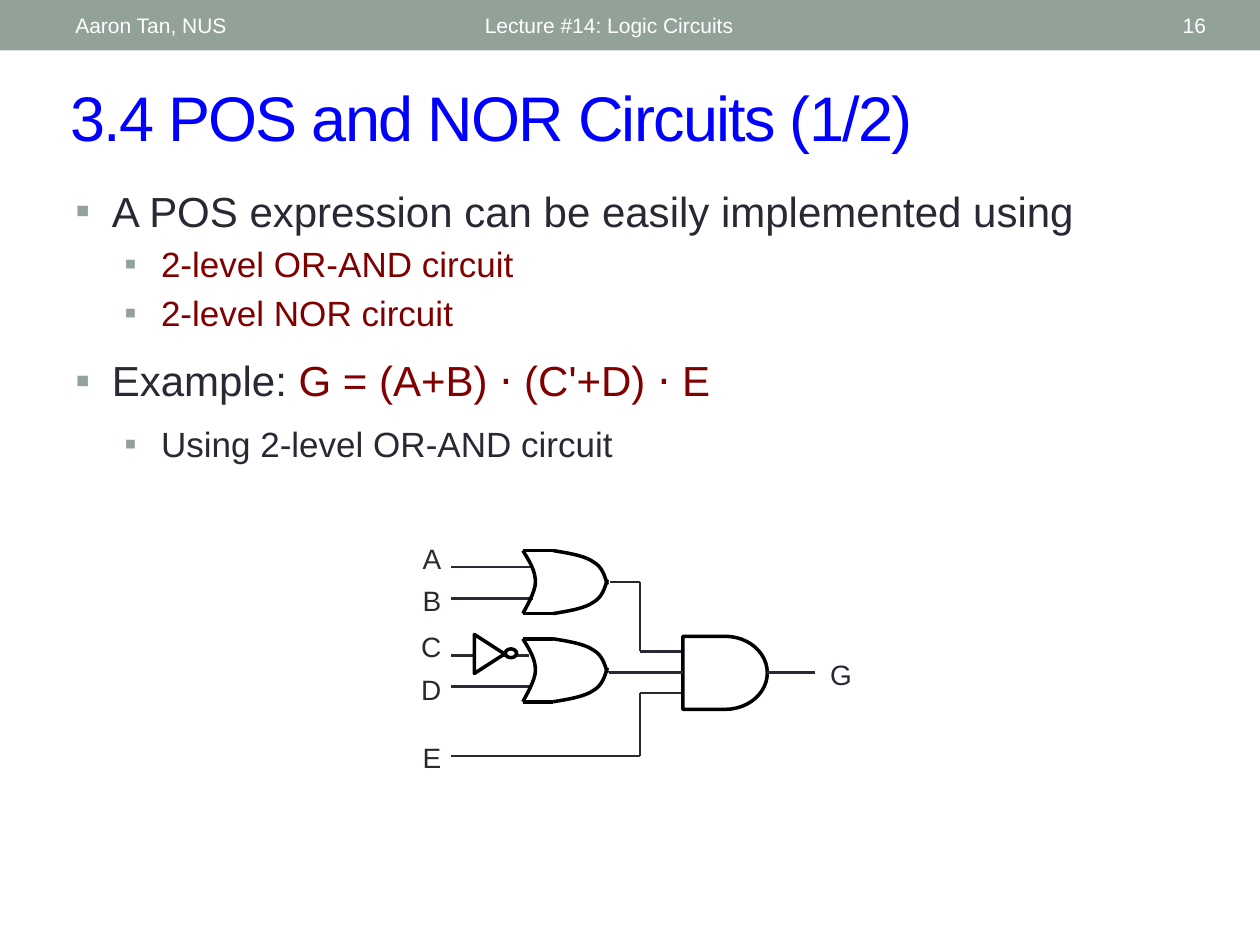
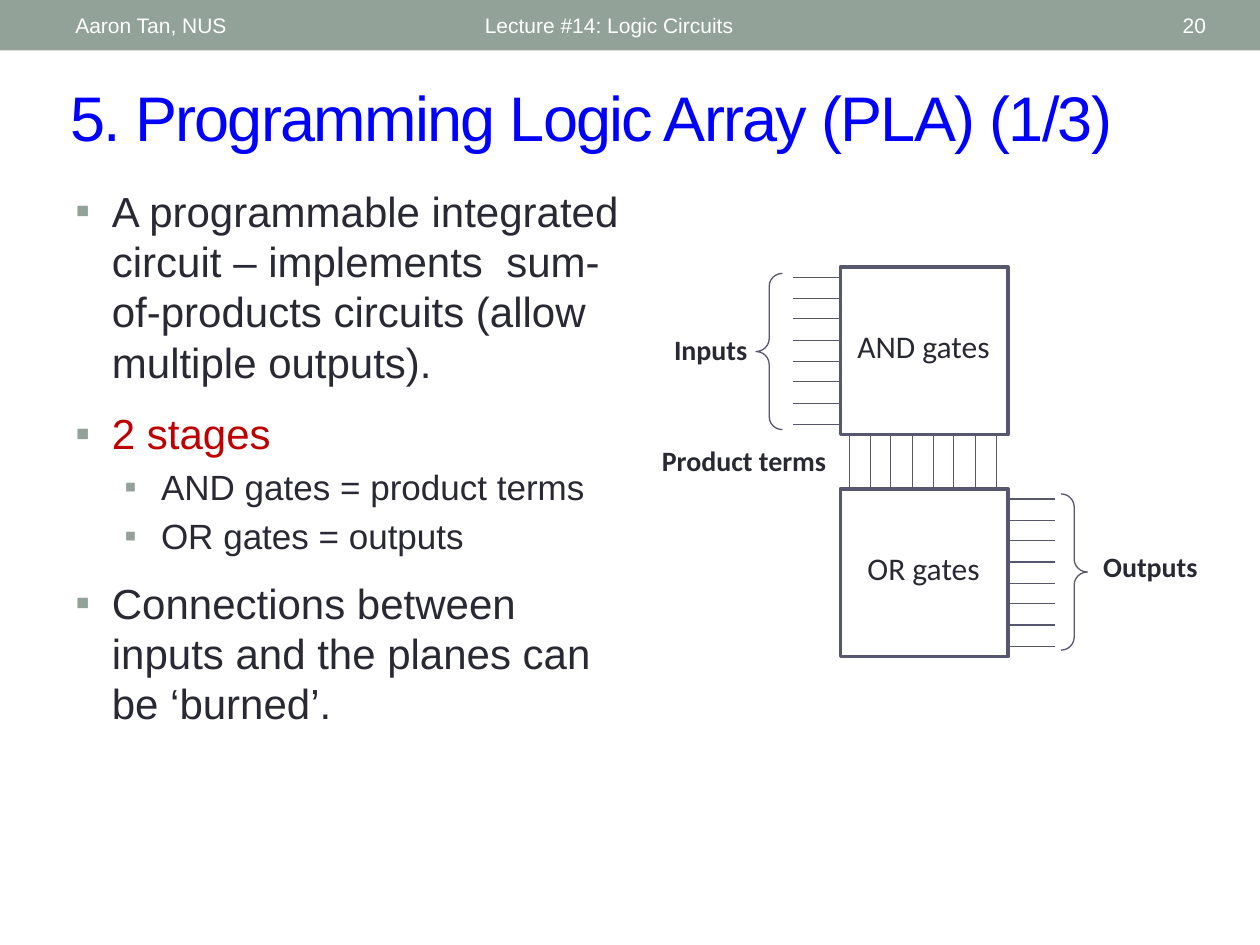
"""Build two lecture slides on logic circuits: a POS circuit and a PLA diagram."""
from dataclasses import dataclass

from lxml import etree
from pptx import Presentation
from pptx.dml.color import RGBColor
from pptx.enum.shapes import MSO_CONNECTOR, MSO_SHAPE
from pptx.enum.text import MSO_ANCHOR, PP_ALIGN
from pptx.oxml.ns import qn
from pptx.util import Pt

PX = 9144
LEFT, CENTER, RIGHT = PP_ALIGN.LEFT, PP_ALIGN.CENTER, PP_ALIGN.RIGHT
TOP, MIDDLE = MSO_ANCHOR.TOP, MSO_ANCHOR.MIDDLE
RECTANGLE, OVAL, BRACE = MSO_SHAPE.RECTANGLE, MSO_SHAPE.OVAL, MSO_SHAPE.LEFT_BRACE
DELAY, MERGE = MSO_SHAPE.FLOWCHART_DELAY, MSO_SHAPE.FLOWCHART_MERGE
STRAIGHT = MSO_CONNECTOR.STRAIGHT
LEFT_SIDE, RIGHT_SIDE = 1, 3


@dataclass(frozen=True)
class Theme:
    band: str = "93A299"
    title: str = "0000FF"
    ink: str = "292934"
    maroon: str = "800000"
    red: str = "C00000"
    outline: str = "57576E"
    black: str = "000000"
    white: str = "FFFFFF"
    font: str = "Arial"
    diagram_font: str = "Calibri"
    title_size: int = 36
    level_sizes: tuple = (24, 20)
    level_indents: tuple = (29, 68)
    hanging: int = 29
    block_size: int = 18
    label_size: int = 16
    header_size: int = 12
    gate_line: float = 2
    wire_line: float = 1.5
    thin_line: float = 0.75


THEME = Theme()


class SlideBuilder:
    """Hold the deck, its theme and the current page, and draw elements on it."""

    def __init__(self, theme):
        self.theme = theme
        self.deck = Presentation()
        self.deck.slide_width, self.deck.slide_height = 1000 * PX, 750 * PX
        self.page = None

    def start_page(self, title, number):
        """Add a page with its band, header texts and title."""
        theme = self.theme
        self.page = self.deck.slides.add_slide(self.deck.slide_layouts[6])
        self.shape(RECTANGLE, (0, 0, 1000, 40), fill=theme.band)
        self.text((46, 57, 907, 70), title, theme.title_size, theme.title, anchor=MIDDLE, spacing=-100)
        for box, words, align in (((375, 2, 450, 36), "Lecture #14: Logic Circuits", LEFT),
                                  ((872, 2, 95, 36), number, RIGHT),
                                  ((50, 2, 317, 36), "Aaron Tan, NUS", LEFT)):
            self.text(box, words, theme.header_size, theme.white, align=align, anchor=MIDDLE)

    def frame(self, box, anchor=TOP):
        """Add an empty wrapping text box and return its text frame."""
        frame = self.page.shapes.add_textbox(*(value * PX for value in box)).text_frame
        frame.word_wrap, frame.vertical_anchor = True, anchor
        return frame

    def span(self, para, words, size, color, **formats):
        """Add a formatted run to a paragraph."""
        span = para.add_run()
        span.text = words
        span.font.color.rgb = RGBColor.from_string(color)
        for name, value in {"name": self.theme.font, "size": Pt(size), **formats}.items():
            setattr(span.font, name, value)
        return span

    def text(self, box, words, size, color, align=LEFT, anchor=TOP, spacing=0, **formats):
        """Add a text box of one line."""
        para = self.frame(box, anchor).paragraphs[0]
        para.alignment = align
        span = self.span(para, words, size, color, **formats)
        if spacing:
            span.font._element.set("spc", str(spacing))

    def bullets(self, box, items):
        """Add a bulleted list of (level, gap share, (words, colour) pairs)."""
        theme, frame = self.theme, self.frame(box)
        for index, (level, gap, spans) in enumerate(items):
            para = frame.add_paragraph() if index else frame.paragraphs[0]
            size = theme.level_sizes[level]
            para.level, para.space_before = level, Pt(size * gap)
            properties = para._p.get_or_add_pPr()
            properties.set("marL", str(theme.level_indents[level] * PX))
            properties.set("indent", str(-theme.hanging * PX))
            color = etree.SubElement(properties, qn("a:buClr"))
            etree.SubElement(color, qn("a:srgbClr"), val=theme.band)
            etree.SubElement(properties, qn("a:buFont"), typeface=theme.font)
            etree.SubElement(properties, qn("a:buChar"), char="▪")
            for words, ink in spans:
                self.span(para, words, size, ink)

    def paint(self, shape, fill, line, width):
        """Set fill and line, and drop the shadow."""
        shape.shadow.inherit = False
        if fill:
            shape.fill.solid()
            shape.fill.fore_color.rgb = RGBColor.from_string(fill)
        else:
            shape.fill.background()
        if line:
            shape.line.color.rgb = RGBColor.from_string(line)
            shape.line.width = Pt(width)
        else:
            shape.line.fill.background()
        return shape

    def shape(self, kind, box, fill=None, line=None, width=1.0, rotation=0, adjustments=()):
        """Add a preset shape."""
        shape = self.page.shapes.add_shape(kind, *(value * PX for value in box))
        shape.rotation = rotation
        for index, value in enumerate(adjustments):
            shape.adjustments[index] = value
        return self.paint(shape, fill, line, width)

    def curve(self, points, line, width):
        """Add an open line of cubic curves: a start, then three points for each curve."""
        builder = self.page.shapes.build_freeform(*points[0], scale=PX)
        builder.add_line_segments(points[1:], close=False)
        shape = self.paint(builder.convert_to_shape(), None, line, width)
        segments = list(shape._element.iter(qn("a:lnTo")))
        outline = segments[0].getparent()
        for first in range(0, len(segments), 3):
            cubic = etree.SubElement(outline, qn("a:cubicBezTo"))
            for segment in segments[first:first + 3]:
                cubic.append(segment[0])
                outline.remove(segment)

    def wire(self, points, color, width):
        """Add straight connectors through the points and return the last."""
        for start, end in zip(points, points[1:]):
            wire = self.page.shapes.add_connector(STRAIGHT, *(value * PX for value in (*start, *end)))
            wire.line.color.rgb = RGBColor.from_string(color)
            wire.line.width = Pt(width)
            etree.SubElement(wire._element.spPr, qn("a:effectLst"))
        return wire

    def or_gate(self, left, top):
        """Draw an OR gate with its upper left corner at the given place."""
        color, width = self.theme.black, self.theme.gate_line
        back = ((0, 0), (5, 8), (10, 16), (10, 25), (10, 33), (2, 46), (0, 50))
        upper = ((24, 0), (36, 2), (49, 4), (56, 9), (63, 13), (65, 20), (67, 27))
        lower = tuple((x, 50 - y) for x, y in upper)
        for points in (back, upper, lower):
            self.curve([(left + x, top + y) for x, y in points], color, width)
        for y in (top, top + 50):
            self.wire([(left, y), (left + 24, y)], color, width)


def draw_pos_slide(builder):
    """Draw the OR-AND circuit slide."""
    theme = builder.theme
    ink, maroon = theme.ink, theme.maroon
    builder.start_page("3.4 POS and NOR Circuits (1/2)", "16")
    builder.bullets((50, 142, 900, 263), (
        (0, 0.2, [("A POS expression can be easily implemented using", ink)]),
        (1, 0.2, [("2-level OR-AND circuit", maroon)]),
        (1, 0.2, [("2-level NOR circuit", maroon)]),
        (0, 0.5, [("Example:", ink), (" G = (A+B) ⋅ (C'+D) ⋅ E", maroon)]),
        (1, 0.5, [("Using 2-level OR-AND circuit", ink)])))

    for name, top in (("A", 425), ("B", 458), ("C", 495), ("D", 529), ("E", 583)):
        builder.text((318, top, 42, 37), name, theme.label_size, ink, align=RIGHT)
    builder.text((649, 517, 39, 37), "G", theme.label_size, ink)

    input_left, bend, and_left = 358, 508, 542
    for y, right in ((450, 423), (475, 423), (520, 420), (545, 420)):
        builder.wire([(input_left, y), (right, y)], ink, theme.wire_line)
    builder.wire([(484, 462), (bend, 462), (bend, 517), (and_left, 517)], ink, theme.wire_line)
    builder.wire([(input_left, 600), (bend, 600), (bend, 550), (and_left, 550)], ink, theme.wire_line)

    gate = {"line": theme.black, "width": theme.gate_line}
    and_gate = builder.shape(DELAY, (and_left, 505, 67, 58), **gate)
    builder.wire([(483, 534), (and_left, 534)], ink, theme.wire_line).end_connect(and_gate, LEFT_SIDE)
    builder.wire([(609, 534), (647, 534)], ink, theme.wire_line).begin_connect(and_gate, RIGHT_SIDE)
    for top in (437, 507):
        builder.or_gate(415, top)
    builder.shape(MERGE, (373, 507, 31, 24), fill=theme.white, rotation=270, **gate)
    builder.shape(OVAL, (401, 515, 9, 7), fill=theme.white, **gate)


def draw_pla_slide(builder):
    """Draw the programmable logic array slide."""
    theme = builder.theme
    ink = theme.ink
    builder.start_page("5. Programming Logic Array (PLA) (1/3)", "20")
    builder.bullets((50, 142, 467, 529), (
        (0, 0.2, [("A programmable integrated circuit – implements  sum-of-products circuits "
                   "(allow multiple outputs).", ink)]),
        (0, 0.5, [("2 stages", theme.red)]),
        (1, 0.2, [("AND gates = product terms", ink)]),
        (1, 0.2, [("OR gates = outputs", ink)]),
        (0, 0.5, [("Connections between inputs and the planes can be ‘burned’.", ink)])))

    block_left, block_size, and_top, or_top = 667, 133, 212, 388
    thin = {"line": theme.outline, "width": theme.thin_line}
    for line in range(8):
        offset = 8 + round(line * 50 / 3)
        term = block_left + offset - 1
        for start, end in (((629, and_top + offset), (block_left, and_top + offset)),
                           ((term, or_top), (term, 346)),
                           ((799, or_top + offset), (837, or_top + offset))):
            builder.wire([start, end], theme.outline, theme.thin_line)

    for name, top, brace, turn in (("AND gates", and_top, (600, 217, 21, 124), 0),
                                   ("OR gates", or_top, (842, 392, 21, 124), 180)):
        builder.shape(RECTANGLE, (block_left, top, block_size, block_size),
                      fill=theme.white, line=theme.outline, width=2.08)
        builder.text((662, top + 43, 142, 40), name, theme.block_size, ink,
                     align=CENTER, name=theme.diagram_font)
        builder.shape(BRACE, brace, rotation=turn, adjustments=(0.49, 0.5), **thin)

    for name, box in (("Inputs", (520, 259, 88, 37)), ("Outputs", (859, 431, 108, 37)),
                      ("Product terms", (506, 347, 169, 37))):
        builder.text(box, name, theme.label_size, ink, align=CENTER, name=theme.diagram_font, bold=True)


def main():
    """Build and save the deck."""
    builder = SlideBuilder(THEME)
    draw_pos_slide(builder)
    draw_pla_slide(builder)
    builder.deck.save("out.pptx")


if __name__ == "__main__":
    main()
